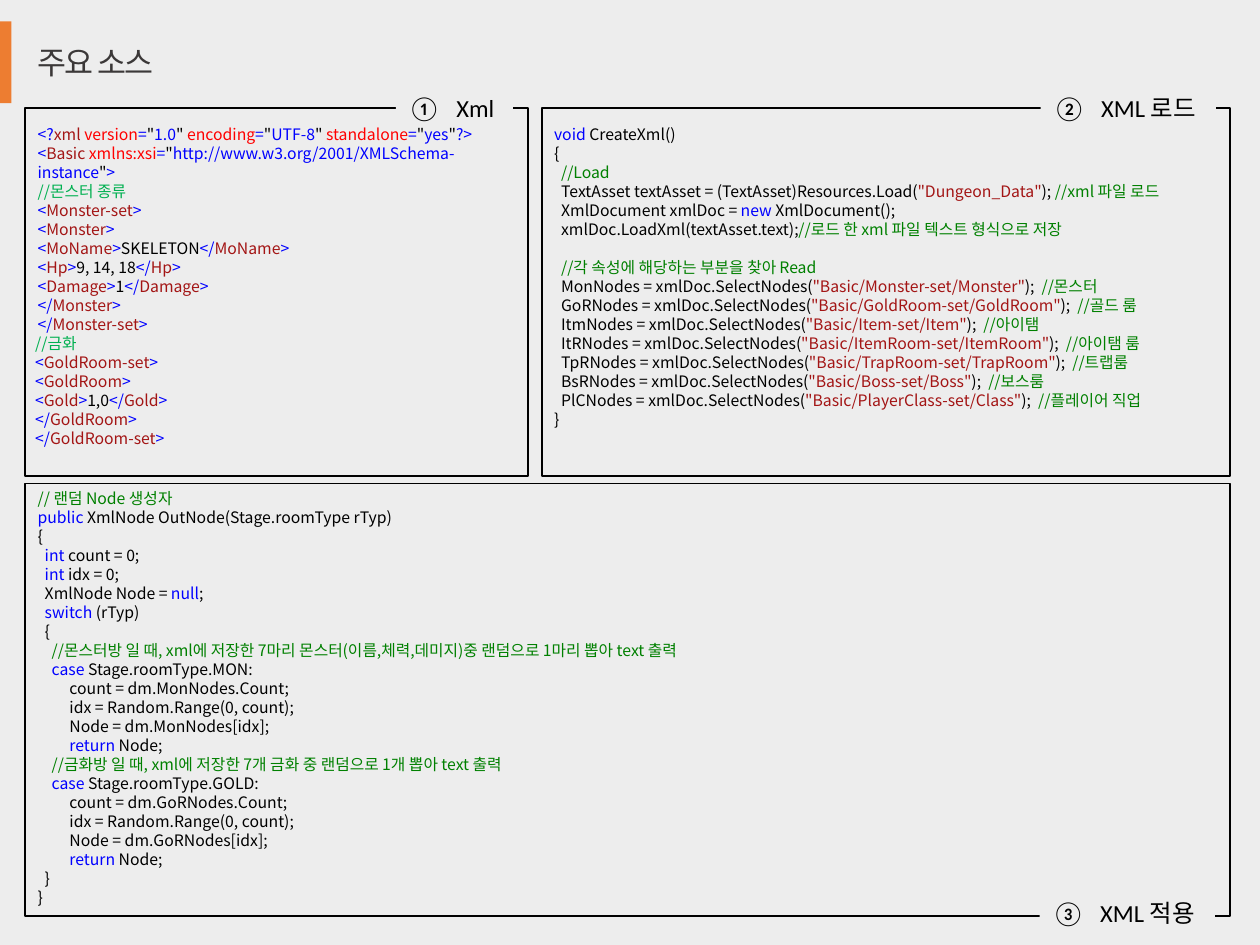
from lxml.etree import SubElement
from pptx import Presentation
from pptx.dml.color import RGBColor
from pptx.enum.shapes import MSO_SHAPE as Shape
from pptx.enum.text import MSO_ANCHOR as Anchor, MSO_AUTO_SIZE as AutoSize, PP_ALIGN as Align
from pptx.oxml.ns import qn
from pptx.util import Cm, Pt

BACKGROUND = RGBColor(0xED, 0xED, 0xED)
ACCENT = RGBColor(0xED, 0x7D, 0x31)
TITLE_GREY = RGBColor(0x3B, 0x38, 0x38)
BLACK = RGBColor(0x00, 0x00, 0x00)
BLUE = RGBColor(0x00, 0x00, 0xFF)
BROWN = RGBColor(0xA3, 0x15, 0x15)
RED = RGBColor(0xFF, 0x00, 0x00)
GREEN = RGBColor(0x00, 0x80, 0x00)
BRIGHT_GREEN = RGBColor(0x00, 0xB0, 0x50)

# A code line is split at "|"; a part may open with a colour key and "~".
CODE_COLORS = {"b": BLUE, "s": BROWN, "a": RED, "c": GREEN, "x": BRIGHT_GREEN}
KOREAN_FONT = "Noto Sans CJK KR"
CODE_FORMAT = {"name": KOREAN_FONT, "size": Pt(9)}
LABEL_FORMAT = {"name": "Calibri", "size": Pt(14)}
TITLE_FORMAT = {"name": KOREAN_FONT, "size": Pt(18)}


class SlideBuilder:
    def __init__(self, slide):
        self.slide = slide
        slide.background.fill.solid()
        slide.background.fill.fore_color.rgb = BACKGROUND

    def add_run(self, paragraph, text, formats, color):
        run = paragraph.add_run()
        run.text = text
        for name, value in formats.items():
            setattr(run.font, name, value)
        run.font.color.rgb = color
        properties = run._r.get_or_add_rPr()
        SubElement(properties, qn("a:ea")).set("typeface", KOREAN_FONT)
        return properties

    def title(self, box, text):
        shape = self.slide.shapes.title
        shape.left, shape.top, shape.width, shape.height = map(Cm, box)
        frame = shape.text_frame
        frame.auto_size = AutoSize.NONE
        frame.vertical_anchor = Anchor.MIDDLE
        paragraph = frame.paragraphs[0]
        paragraph.alignment = Align.LEFT
        self.add_run(paragraph, text, TITLE_FORMAT, TITLE_GREY).set("spc", "-110")

    def rectangle(self, box, fill=None, line=None):
        shape = self.slide.shapes.add_shape(Shape.RECTANGLE, *map(Cm, box))
        shape.shadow.inherit = False
        if fill is None:
            shape.fill.background()
        else:
            shape.fill.solid()
            shape.fill.fore_color.rgb = fill
        if line is None:
            shape.line.fill.background()
        else:
            shape.line.color.rgb = line
            shape.line.width = Pt(1)
        return shape

    def label(self, box, number, text):
        """Add a heading with a circled number that interrupts a panel border."""
        frame = self.rectangle(box, fill=BACKGROUND).text_frame
        frame.word_wrap = True
        frame.vertical_anchor = Anchor.MIDDLE
        paragraph = frame.paragraphs[0]
        paragraph.alignment = Align.LEFT
        properties = paragraph._p.get_or_add_pPr()
        properties.set("marL", str(Cm(0.97)))
        properties.set("indent", str(-Cm(0.97)))
        bullet = SubElement(properties, qn("a:buAutoNum"))
        bullet.set("type", "circleNumDbPlain")
        bullet.set("startAt", str(number))
        self.add_run(paragraph, text, LABEL_FORMAT, BLACK)

    def code(self, box, lines):
        frame = self.slide.shapes.add_textbox(*map(Cm, box)).text_frame
        frame.word_wrap = True
        for index, line in enumerate(lines):
            paragraph = frame.add_paragraph() if index else frame.paragraphs[0]
            paragraph.line_spacing = Pt(10.86)
            for part in filter(None, line.split("|")):
                key, _, text = part.rpartition("~")
                self.add_run(paragraph, text, CODE_FORMAT, CODE_COLORS.get(key, BLACK))


def open_tag(name):
    return f"b~<|s~{name}|b~>"


def close_tag(name):
    return f"b~</|s~{name}|b~>"


def element(name, value):
    return f"{open_tag(name)}|{value}|{close_tag(name)}"


def attribute(name, value):
    return f'a~{name}|b~=|"|b~{value}|"'


def select_nodes(variable, node_path, comment):
    return f'  {variable} = xmlDoc.SelectNodes(|s~"Basic/{node_path}"|);  |c~//{comment}'


def case_lines(room, nodes, comment):
    indent = " " * 9
    return [
        f"    |c~//{comment}",
        f"    |b~case |Stage.roomType.{room}:",
        f"{indent}count = dm.{nodes}.Count;",
        f"{indent}idx = Random.Range(0, count);",
        f"{indent}Node = dm.{nodes}[idx];",
        f"{indent}|b~return |Node;",
    ]


MONSTER_XML = [
    "b~<?|s~xml |" + "| |".join([attribute("version", "1.0"), attribute("encoding", "UTF-8"),
                                 attribute("standalone", "yes")]) + "|b~?>",
    "b~<|s~Basic |" + attribute("xmlns:xsi", "http://www.w3.org/2001/XMLSchema-instance") + "|b~>",
    "x~//몬스터 종류",
    open_tag("Monster-set"),
    open_tag("Monster"),
    element("MoName", "SKELETON"),
    element("Hp", "9, 14, 18"),
    element("Damage", "1"),
    close_tag("Monster"),
    close_tag("Monster-set"),
]
GOLD_XML = [
    "x~//금화",
    open_tag("GoldRoom-set"),
    open_tag("GoldRoom"),
    element("Gold", "1,0"),
    close_tag("GoldRoom"),
    close_tag("GoldRoom-set"),
]
LOAD_CODE = [
    "b~void| CreateXml()",
    "{",
    "  |c~//Load",
    '  TextAsset textAsset = (TextAsset)Resources.Load(|s~"Dungeon_Data"|); |c~//xml 파일 로드',
    "  XmlDocument xmlDoc = |b~new| XmlDocument();",
    "  xmlDoc.LoadXml(textAsset.text);|c~//로드 한 xml 파일 텍스트 형식으로 저장",
    "",
    "  |c~//각 속성에 해당하는 부분을 찾아 Read",
    select_nodes("MonNodes", "Monster-set/Monster", "몬스터"),
    select_nodes("GoRNodes", "GoldRoom-set/GoldRoom", "골드 룸"),
    select_nodes("ItmNodes", "Item-set/Item", "아이탬"),
    select_nodes("ItRNodes", "ItemRoom-set/ItemRoom", "아이탬 룸"),
    select_nodes("TpRNodes", "TrapRoom-set/TrapRoom", "트랩룸"),
    select_nodes("BsRNodes", "Boss-set/Boss", "보스룸"),
    select_nodes("PlCNodes", "PlayerClass-set/Class", "플레이어 직업"),
    "}",
]
APPLY_CODE = [
    "c~// 랜덤 Node 생성자",
    "b~public |XmlNode OutNode(Stage.roomType rTyp)",
    "{",
    "  |b~int |count = 0;",
    "  |b~int |idx = 0;",
    "  XmlNode Node = |b~null|;",
    "  |b~switch |(rTyp)",
    "  {",
    *case_lines("MON", "MonNodes", "몬스터방 일 때, xml에 저장한 7마리 몬스터(이름,체력,데미지)중 "
                                   "랜덤으로 1마리 뽑아 text 출력"),
    *case_lines("GOLD", "GoRNodes", "금화방 일 때, xml에 저장한 7개 금화 중 랜덤으로 1개 뽑아 text 출력"),
    "  }",
    "}",
]

# Panel box, label box, label text, and the code blocks inside the panel
PANELS = [
    ((0.51, 2.18, 10.13, 7.42), (7.98, 1.75, 2.36, 0.86), "Xml",
     [((0.51, 2.39, 10.39, 4.88), MONSTER_XML), ((0.46, 6.6, 9.98, 2.79), GOLD_XML)]),
    ((10.92, 2.18, 13.87, 7.42), (20.98, 1.75, 3.53, 0.86), "XML 로드",
     [((10.92, 2.39, 13.87, 6.4), LOAD_CODE)]),
    ((0.51, 9.75, 24.28, 8.71), (20.96, 17.96, 3.53, 0.86), "XML 적용",
     [((0.51, 9.73, 17.17, 8.71), APPLY_CODE)]),
]


def main():
    presentation = Presentation()
    presentation.slide_width, presentation.slide_height = Cm(25.4), Cm(19.05)
    builder = SlideBuilder(presentation.slides.add_slide(presentation.slide_layouts[5]))
    builder.rectangle((0, 0.43, 0.23, 1.65), fill=ACCENT)
    builder.title((0.51, 0.74, 3.1, 1.02), "주요 소스")
    for number, (panel_box, label_box, label, blocks) in enumerate(PANELS, start=1):
        builder.rectangle(panel_box, line=BLACK)
        builder.label(label_box, number, label)
        for code_box, lines in blocks:
            builder.code(code_box, lines)
    presentation.save("out.pptx")


if __name__ == "__main__":
    main()
